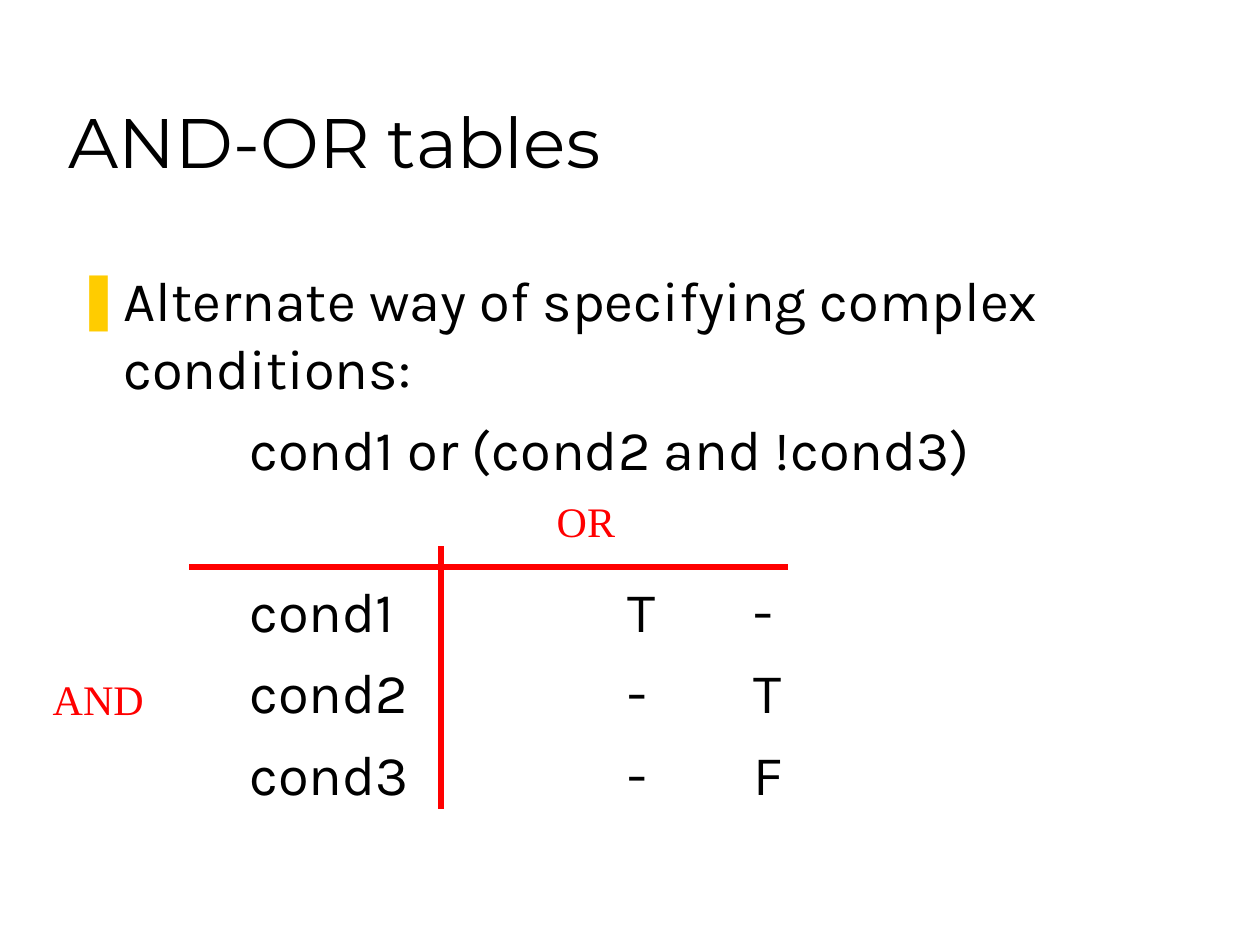
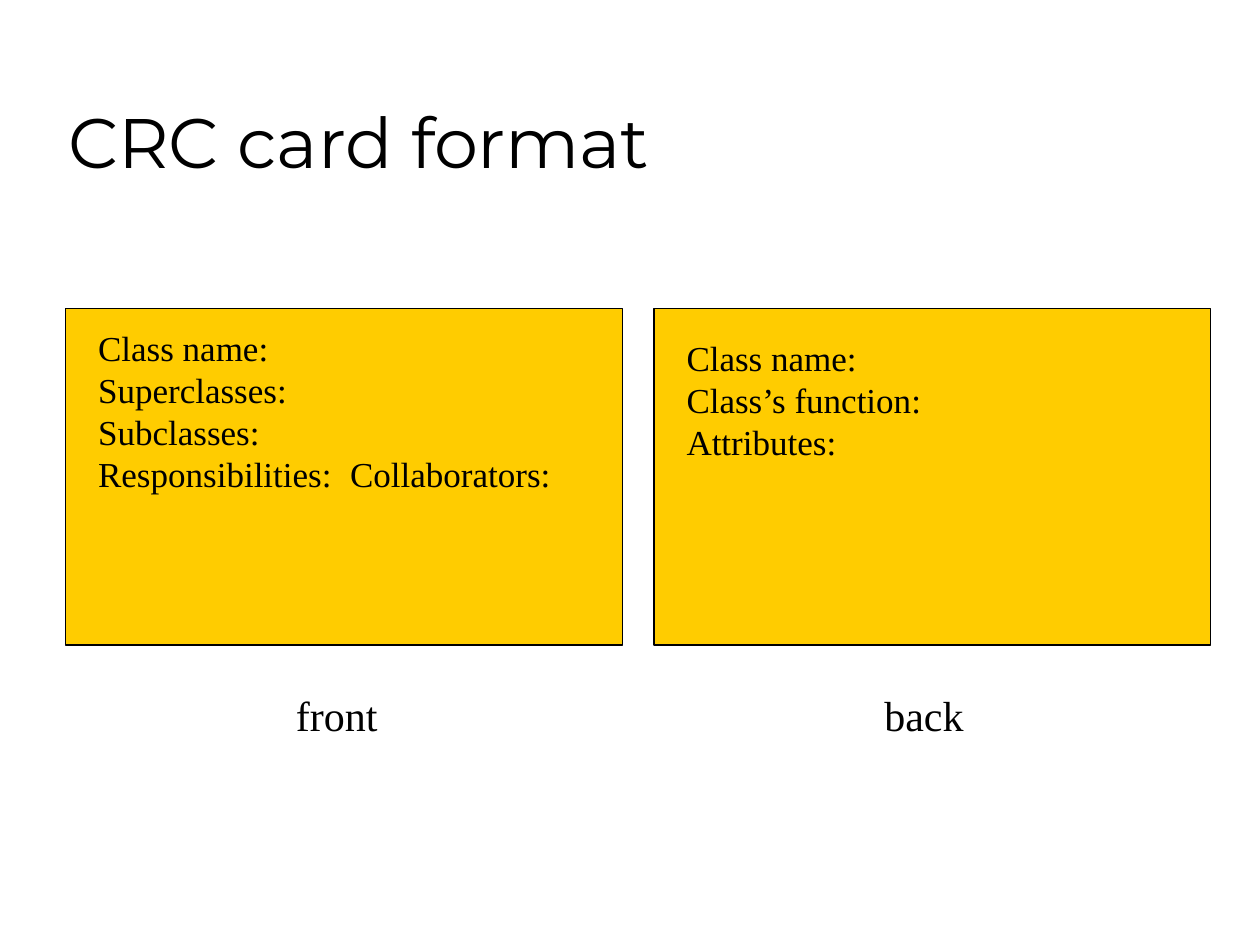
from dataclasses import dataclass

from lxml.etree import SubElement
from pptx import Presentation
from pptx.dml.color import RGBColor
from pptx.enum.shapes import MSO_CONNECTOR as Connector, MSO_SHAPE as Shape
from pptx.enum.text import MSO_ANCHOR as Anchor, MSO_AUTO_SIZE as AutoSize, PP_ALIGN as Align
from pptx.oxml.ns import qn
from pptx.util import Inches, Pt

# Content
TABLE_TITLE = "AND-OR tables"
TABLE_INTRO = "Alternate way of specifying complex conditions:"
TABLE_CONDITION = "cond1 or (cond2 and !cond3)"
TABLE_ROWS = [("cond1", "T", "-"), ("cond2", "-", "T"), ("cond3", "-", "F")]
# Label text, then left, top, width, height
TABLE_LABELS = [("AND", (0.32, 5.3, 0.92, 0.5)), ("OR", (4.32, 3.88, 0.66, 0.5))]
# Line start x, y, then end x, y
TABLE_RULES = [(3.5, 6.42, 3.5, 4.33), (1.5, 4.5, 6.25, 4.5)]

CARD_TITLE = "CRC card format"
CARDS = [
    dict(caption="front", caption_width=0.85, text_top=2.54, text_size=(3.79, 1.44),
         fields=["Class name:", "Superclasses:", "Subclasses:",
                 "Responsibilities:\tCollaborators:"]),
    dict(caption="back", caption_width=0.83, text_top=2.62, text_size=(2.08, 1.1),
         fields=["Class name:", "Class’s function:", "Attributes:"]),
]


# Shared look
@dataclass(frozen=True)
class Theme:
    black: str = "000000"
    red: str = "FF0000"
    gold: str = "FFCC00"
    white: str = "FFFFFF"
    title_font: str = "Montserrat"
    body_font: str = "Karla"
    label_font: str = "Times New Roman"
    title_size: int = 40
    body_size: int = 32
    label_size: int = 24
    field_size: int = 20
    title_box: tuple = (0.44, 0.25, 8.5, 1.25)
    body_box: tuple = (0.5, 2.06, 8.94, 4.56)
    body_indent: float = 0.38
    body_gap: float = 8
    table_gap: float = 54.4  # leaves one free line for the OR label
    rule_width: float = 3
    card_line: float = 0.75


THEME = Theme()
CARD_LEFT, CARD_TOP, CARD_WIDTH, CARD_HEIGHT = 0.52, 2.45, 4.42, 2.67
CARD_STEP = 4.67
TEXT_OFFSET, CAPTION_OFFSET = 0.16, 1.73
CAPTION_TOP, CAPTION_HEIGHT = 5.42, 0.5


def color(value):
    return RGBColor.from_string(value)


def place(shape, box):
    shape.left, shape.top, shape.width, shape.height = map(Inches, box)


def write_text(frame, lines, *, font, size, ink=THEME.black, indent=0.0,
               gaps=None, bullets=(), anchor=Anchor.TOP):
    """Fill a text frame; bullets lists the line numbers that get a marker."""
    frame.vertical_anchor = anchor
    for number, line in enumerate(lines):
        paragraph = frame.paragraphs[0] if number == 0 else frame.add_paragraph()
        properties = paragraph._p.get_or_add_pPr()
        properties.set("marL", str(Inches(indent)))
        properties.set("indent", str(-Inches(indent)))
        properties.set("defTabSz", str(Inches(1)))
        if number in bullets:
            bullet_color = SubElement(properties, qn("a:buClr"))
            SubElement(bullet_color, qn("a:srgbClr"), val=THEME.gold)
            SubElement(properties, qn("a:buChar"), char="❚")
        else:
            SubElement(properties, qn("a:buNone"))
        tabs = SubElement(properties, qn("a:tabLst"))
        for inch in range(8):
            SubElement(tabs, qn("a:tab"), pos=str(Inches(inch)), algn="l")
        paragraph.alignment = Align.LEFT
        paragraph.space_before = Pt(gaps[number] if gaps else 0)
        run = paragraph.add_run()
        run.text = line
        run.font.name, run.font.size = font, Pt(size)
        run.font.color.rgb = color(ink)


def add_label(slide, lines, box, **text_format):
    text_box = slide.shapes.add_textbox(*map(Inches, box))
    text_box.text_frame.word_wrap = False
    text_box.text_frame.auto_size = AutoSize.SHAPE_TO_FIT_TEXT
    write_text(text_box.text_frame, lines, font=THEME.label_font, **text_format)


def add_slide(presentation, layout_number, title):
    slide = presentation.slides.add_slide(presentation.slide_layouts[layout_number])
    slide.background.fill.solid()
    slide.background.fill.fore_color.rgb = color(THEME.white)
    place(slide.shapes.title, THEME.title_box)
    frame = slide.shapes.title.text_frame
    frame.auto_size = AutoSize.NONE
    write_text(frame, [title], font=THEME.title_font, size=THEME.title_size,
               anchor=Anchor.BOTTOM)
    return slide


def add_rule(slide, points):
    rule = slide.shapes.add_connector(Connector.STRAIGHT, *map(Inches, points))
    rule.line.color.rgb = color(THEME.red)
    rule.line.width = Pt(THEME.rule_width)
    SubElement(rule._element.spPr, qn("a:effectLst"))


def build_table_slide(presentation):
    slide = add_slide(presentation, 1, TABLE_TITLE)
    body = slide.placeholders[1]
    place(body, THEME.body_box)
    body.text_frame.auto_size = AutoSize.NONE
    rows = [f"\t\t{name}\t\t{first}\t{second}" for name, first, second in TABLE_ROWS]
    gap = THEME.body_gap
    write_text(body.text_frame, [TABLE_INTRO, f"\t\t{TABLE_CONDITION}", *rows],
               font=THEME.body_font, size=THEME.body_size, indent=THEME.body_indent,
               gaps=[0, gap, THEME.table_gap, gap, gap], bullets=[0])
    for points in TABLE_RULES:
        add_rule(slide, points)
    for label, box in TABLE_LABELS:
        add_label(slide, [label], box, size=THEME.label_size, ink=THEME.red)


def build_card_slide(presentation):
    slide = add_slide(presentation, 5, CARD_TITLE)
    for number, card in enumerate(CARDS):
        left = CARD_LEFT + number * CARD_STEP
        box = (left, CARD_TOP, CARD_WIDTH, CARD_HEIGHT)
        panel = slide.shapes.add_shape(Shape.RECTANGLE, *map(Inches, box))
        panel.shadow.inherit = False
        panel.fill.solid()
        panel.fill.fore_color.rgb = color(THEME.gold)
        panel.line.color.rgb = color(THEME.black)
        panel.line.width = Pt(THEME.card_line)
        add_label(slide, card["fields"],
                  (left + TEXT_OFFSET, card["text_top"], *card["text_size"]),
                  size=THEME.field_size)
        add_label(slide, [card["caption"]],
                  (left + CAPTION_OFFSET, CAPTION_TOP, card["caption_width"], CAPTION_HEIGHT),
                  size=THEME.label_size)


def main():
    presentation = Presentation()
    presentation.slide_width, presentation.slide_height = Inches(10), Inches(7.5)
    build_table_slide(presentation)
    build_card_slide(presentation)
    presentation.save("out.pptx")


if __name__ == "__main__":
    main()
